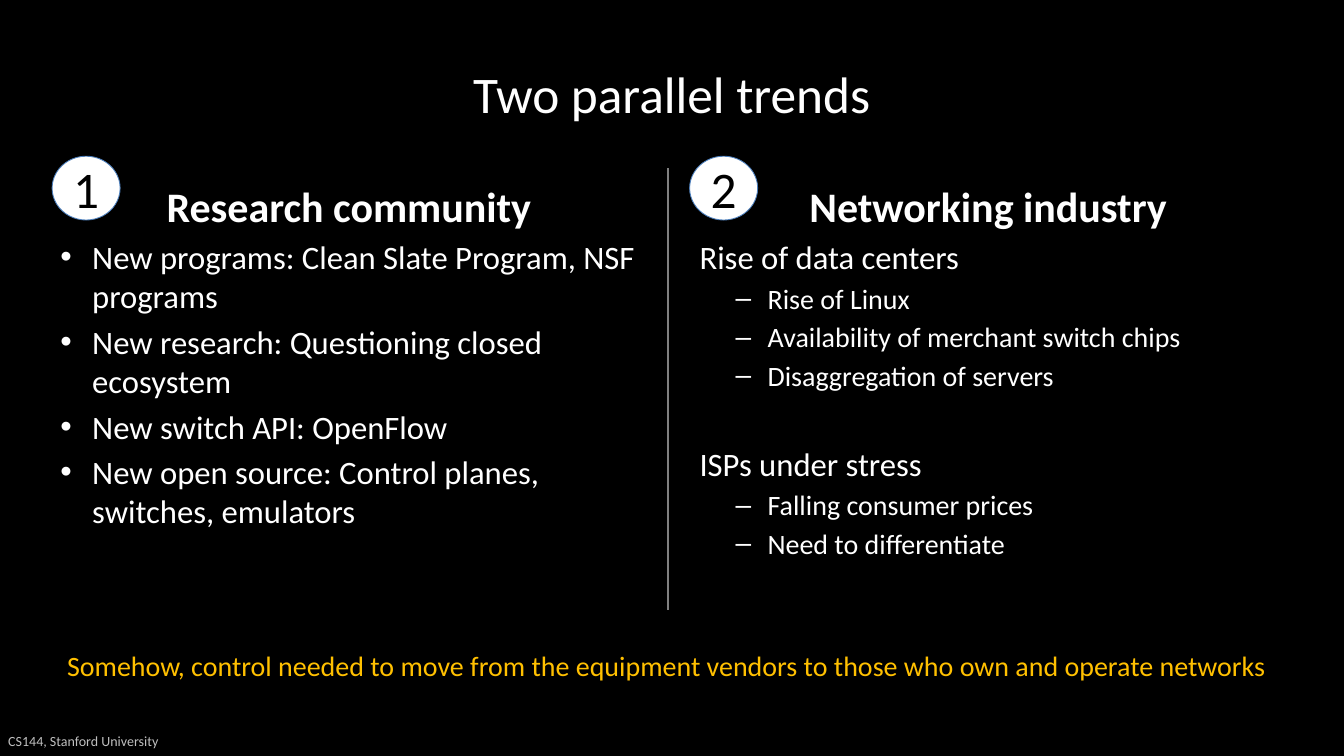
from dataclasses import dataclass
from lxml.etree import SubElement
from pptx import Presentation
from pptx.dml.color import RGBColor
from pptx.enum.shapes import MSO_CONNECTOR, MSO_SHAPE
from pptx.enum.text import MSO_ANCHOR, PP_ALIGN
from pptx.oxml.ns import qn
from pptx.util import Inches, Pt


@dataclass(frozen=True)
class Theme:
    font: str = "Calibri"
    back: str = "000000"
    text: str = "FFFFFF"
    accent: str = "FFC000"
    muted: str = "BFBFBF"
    rule: str = "808080"
    ring: str = "4B7EBC"
    title: int = 44
    head: int = 36
    body: int = 28
    sub: int = 24
    small: int = 12


def put(obj, form):
    for name, value in form.items():
        setattr(obj, name, value)


def color(code):
    return RGBColor.from_string(code)


class Deck:
    """One slide on a grid of 16 columns by 9 rows, each one inch."""

    def __init__(self, theme):
        self.theme = theme
        self.deck = Presentation()
        put(self.deck, {"slide_width": Inches(16), "slide_height": Inches(9)})
        self.slide = self.deck.slides.add_slide(self.deck.slide_layouts[6])
        fill = self.slide.background.fill
        fill.solid()
        fill.fore_color.rgb = color(theme.back)

    def para(self, par, text, size, code, form=None, bold=False, mark=None, left=0):
        props = par._p.get_or_add_pPr()
        if mark:
            props.set("marL", str(Inches(left)))
            props.set("indent", str(-Inches(0.38)))
            SubElement(props, qn("a:buFont"), typeface="Arial")
            SubElement(props, qn("a:buChar"), char=mark)
        put(par, form or {})
        run = par.add_run()
        run.text = text
        put(run.font, {"name": self.theme.font, "size": Pt(size), "bold": bold})
        run.font.color.rgb = color(code)

    def text(self, area, lines, anchor=MSO_ANCHOR.TOP, wrap=True):
        box = self.slide.shapes.add_textbox(*map(Inches, area))
        frame = box.text_frame
        put(frame, {"word_wrap": wrap, "vertical_anchor": anchor})
        for i, line in enumerate(lines):
            par = frame.add_paragraph() if i else frame.paragraphs[0]
            self.para(par, **line)

    def line(self, start, end, code, width):
        rule = self.slide.shapes.add_connector(
            MSO_CONNECTOR.STRAIGHT, *map(Inches, start + end))
        rule.line.color.rgb = color(code)
        rule.line.width = Pt(width)
        SubElement(rule._element.spPr, qn("a:effectLst"))

    def badge(self, area, text):
        disc = self.slide.shapes.add_shape(MSO_SHAPE.OVAL, *map(Inches, area))
        disc.shadow.inherit = False
        disc.fill.solid()
        disc.fill.fore_color.rgb = color(self.theme.text)
        disc.line.color.rgb = color(self.theme.ring)
        disc.line.width = Pt(0.75)
        frame = disc.text_frame
        sides = ("left", "right", "top", "bottom")
        put(frame, {f"margin_{side}": 0 for side in sides})
        put(frame, {"word_wrap": False, "vertical_anchor": MSO_ANCHOR.MIDDLE})
        self.para(frame.paragraphs[0], text, self.theme.title, self.theme.back,
                  {"alignment": PP_ALIGN.CENTER})

    # Line styles
    def head(self, text, size, bold=True):
        return dict(text=text, size=size, code=self.theme.text, bold=bold,
                    form={"alignment": PP_ALIGN.CENTER})

    def item(self, text, mark=None, gap=5.3):
        return dict(text=text, size=self.theme.body, code=self.theme.text,
                    mark=mark, left=0.38, form={"space_before": Pt(gap)})

    def sub(self, text):
        return dict(text=text, size=self.theme.sub, code=self.theme.text,
                    mark="–", left=0.81,
                    form={"level": 1, "space_before": Pt(4.2)})


def main():
    theme = Theme()
    page = Deck(theme)

    # Footer and title
    page.text((0, 8.62, 3, 0.4),
              [dict(text="CS144, Stanford University", size=theme.small,
                    code=theme.muted)], MSO_ANCHOR.MIDDLE)
    page.text((0.8, 0.36, 14.4, 1.5),
              [page.head("Two parallel trends", theme.title, False)],
              MSO_ANCHOR.MIDDLE)

    # Two trends
    left = [page.item(text, "•") for text in (
        "New programs: Clean Slate Program, NSF programs",
        "New research: Questioning closed ecosystem",
        "New switch API: OpenFlow",
        "New open source: Control planes, switches, emulators")]
    right = [
        page.item("Rise of data centers"),
        *map(page.sub, ("Rise of Linux",
                        "Availability of merchant switch chips",
                        "Disaggregation of servers")),
        page.item("ISPs under stress", gap=44.6),
        *map(page.sub, ("Falling consumer prices", "Need to differentiate"))]
    trends = (("Research community", left), ("Networking industry", right))
    for i, (name, items) in enumerate(trends):
        col = 0.62 + 7.61 * i
        page.text((col, 2.1, 7.07, 5.94), [page.head(name, theme.head), *items])
        page.badge((0.62 + 7.59 * i, 1.86, 0.81, 0.76), str(i + 1))

    # Divider and closing line
    page.line((7.95, 2), (7.95, 7.26), theme.rule, 2)
    page.text((0.7, 7.67, 14.6, 0.5),
              [dict(text="Somehow, control needed to move from the equipment "
                         "vendors to those who own and operate networks",
                    size=theme.sub, code=theme.accent)], wrap=False)

    page.deck.save("out.pptx")


if __name__ == "__main__":
    main()
